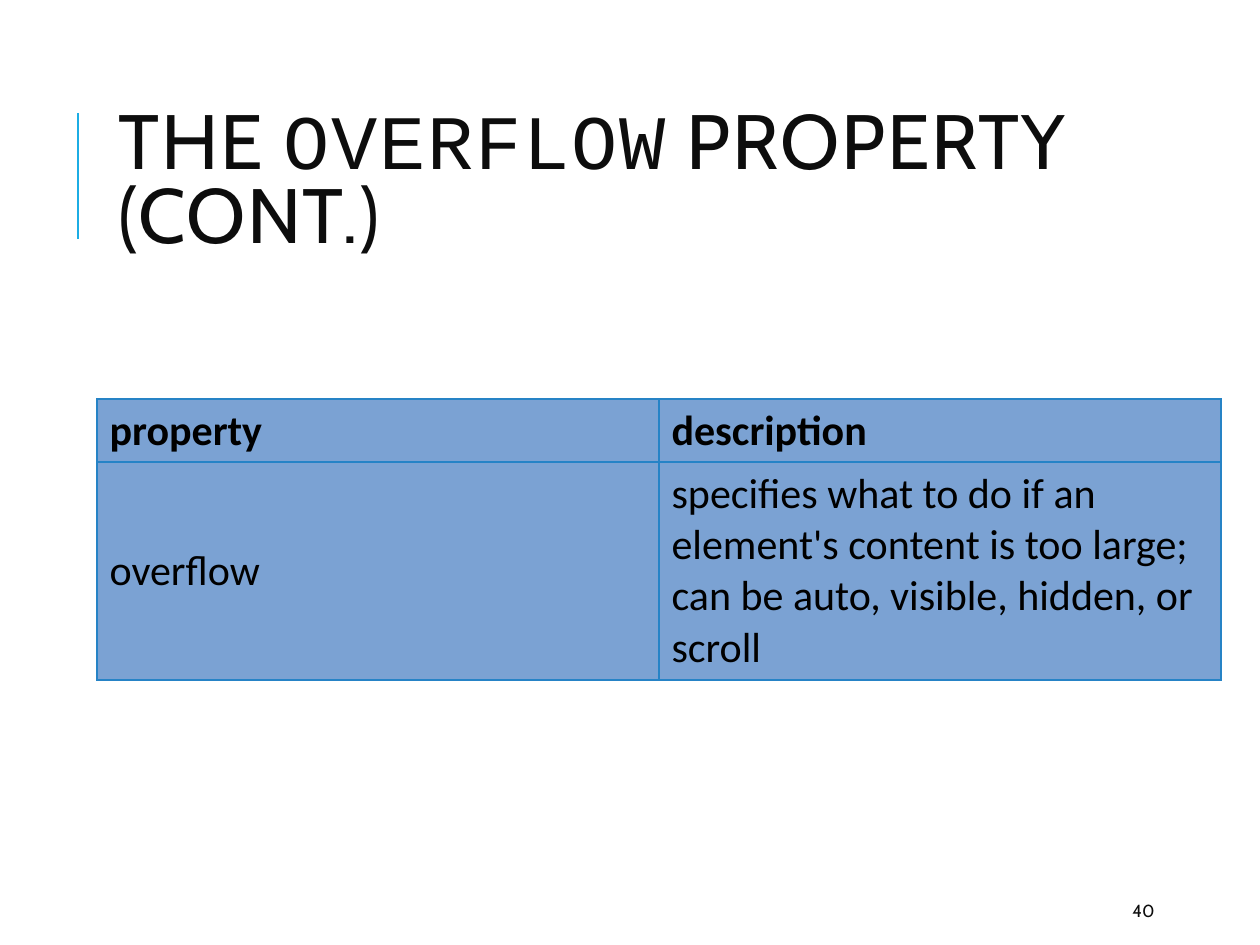
from lxml import etree
from pptx import Presentation
from pptx.dml.color import RGBColor
from pptx.enum.shapes import MSO_CONNECTOR
from pptx.enum.text import MSO_ANCHOR
from pptx.oxml.ns import qn
from pptx.util import Emu, Pt

STRAIGHT = MSO_CONNECTOR.STRAIGHT
MIDDLE = MSO_ANCHOR.MIDDLE
INK, BLACK = "0D0D0D", "000000"
ACCENT, EDGE, FILL = "1CADE4", "2683C6", "7BA2D3"
HEAD, BODY, CODE = "Cabin", "Calibri", "Courier New"


def px(n):
    """Turn pixels into EMU."""
    return Emu(round(n * 914400 / 126))


def color(text):
    """Turn a hex string into a colour."""
    return RGBColor.from_string(text)


class Deck:
    """Hold the style and the current slide."""

    def __init__(self, wide, high):
        """Start a deck with one blank slide."""
        self.file = Presentation()
        self.file.slide_width, self.file.slide_height = px(wide), px(high)
        self.slide = self.file.slides.add_slide(self.file.slide_layouts[6])

    def run(self, para, text, font, size, ink, bold=False, gap=0):
        """Add one styled run."""
        run = para.add_run()
        run.text = text
        run.font.name, run.font.size, run.font.bold = font, Pt(size), bold
        run.font.color.rgb = color(ink)
        if gap:
            run.font._element.set("spc", str(gap))

    def text(self, box, runs, size, gap=0, lead=1.0):
        """Add a text box of one paragraph."""
        frame = self.slide.shapes.add_textbox(*map(px, box)).text_frame
        frame.word_wrap = True
        frame.vertical_anchor = MIDDLE
        para = frame.paragraphs[0]
        para.line_spacing = lead
        for text, font in runs:
            self.run(para, text, font, size, INK, gap=gap)

    def line(self, ends, ink, width):
        """Add a straight line."""
        line = self.slide.shapes.add_connector(STRAIGHT, *map(px, ends))
        line.line.color.rgb = color(ink)
        line.line.width = Pt(width)
        etree.SubElement(line._element.spPr, qn("a:effectLst"))

    def edges(self, cell, ink, width):
        """Draw the four borders of a cell."""
        props = cell._tc.get_or_add_tcPr()
        for spot, side in enumerate(("lnL", "lnR", "lnT", "lnB")):
            edge = etree.Element(qn(f"a:{side}"), w=str(Pt(width)))
            fill = etree.SubElement(edge, qn("a:solidFill"))
            etree.SubElement(fill, qn("a:srgbClr"), val=ink)
            props.insert(spot, edge)

    def table(self, left, top, cols, rows, data):
        """Add a table with a bold first row."""
        box = map(px, (left, top, sum(cols), sum(rows)))
        table = self.slide.shapes.add_table(len(rows), len(cols), *box).table
        for col, wide in zip(table.columns, cols):
            col.width = px(wide)
        for r, (high, texts) in enumerate(zip(rows, data)):
            table.rows[r].height = px(high)
            for c, text in enumerate(texts):
                cell = table.cell(r, c)
                cell.vertical_anchor = MIDDLE
                cell.fill.solid()
                cell.fill.fore_color.rgb = color(FILL)
                self.edges(cell, EDGE, 0.75)
                para = cell.text_frame.paragraphs[0]
                self.run(para, text, BODY, 24, BLACK, bold=r == 0)


def main():
    """Build the slide."""
    deck = Deck(1260, 945)
    deck.line((78, 239, 78, 113), ACCENT, 1.5)
    title = [("THE ", HEAD), ("OVERFLOW", CODE), (" PROPERTY (CONT.)", HEAD)]
    deck.text((106, 81, 1004, 207), title, 44, gap=100, lead=0.8)
    deck.text((1120, 892, 101, 38), [("40", HEAD)], 10)
    deck.table(97, 399, (562, 562), (63, 218), [
        ("property", "description"),
        ("overflow", "specifies what to do if an element's content is too "
                     "large; can be auto, visible, hidden, or scroll"),
    ])
    deck.file.save("out.pptx")


if __name__ == "__main__":
    main()
